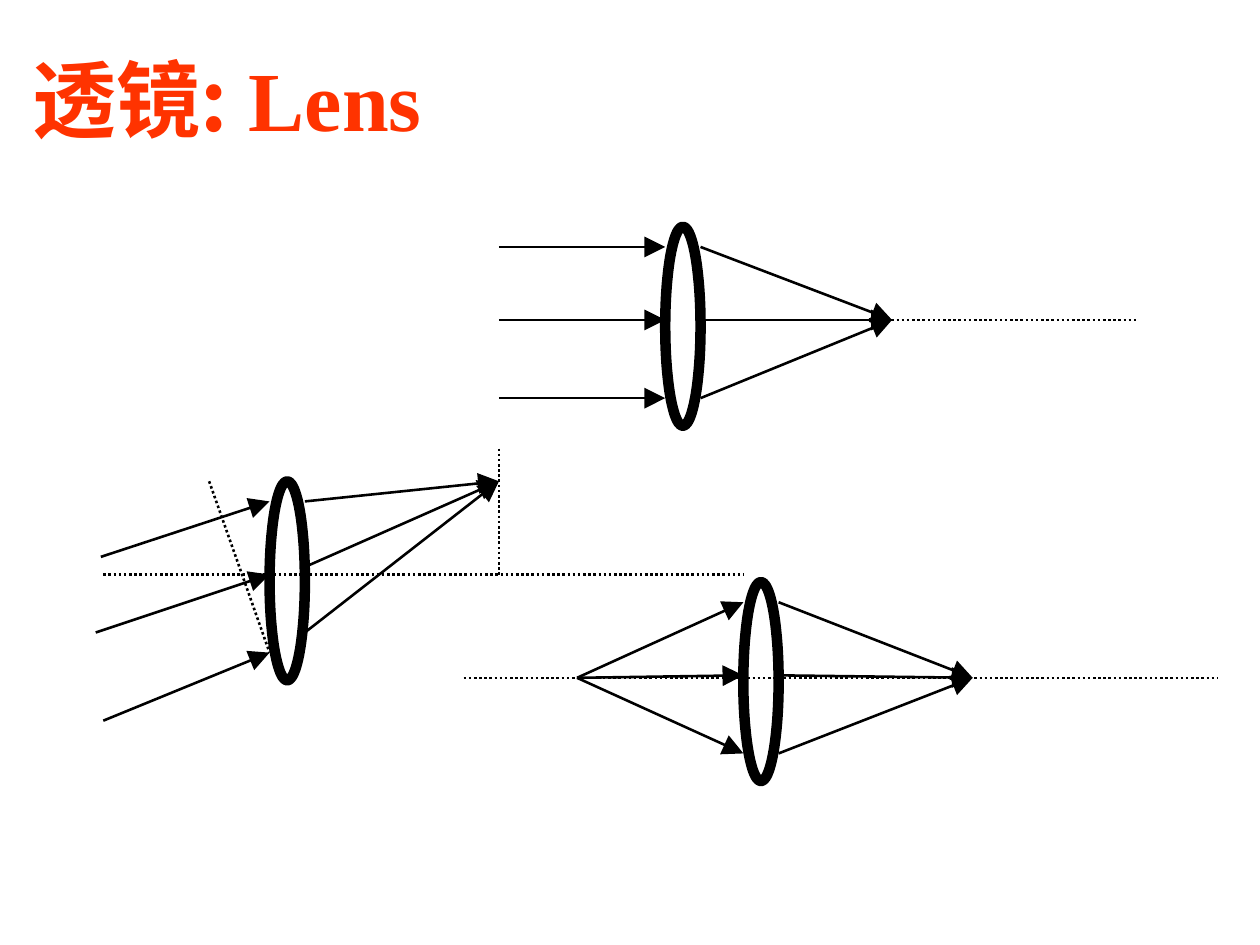
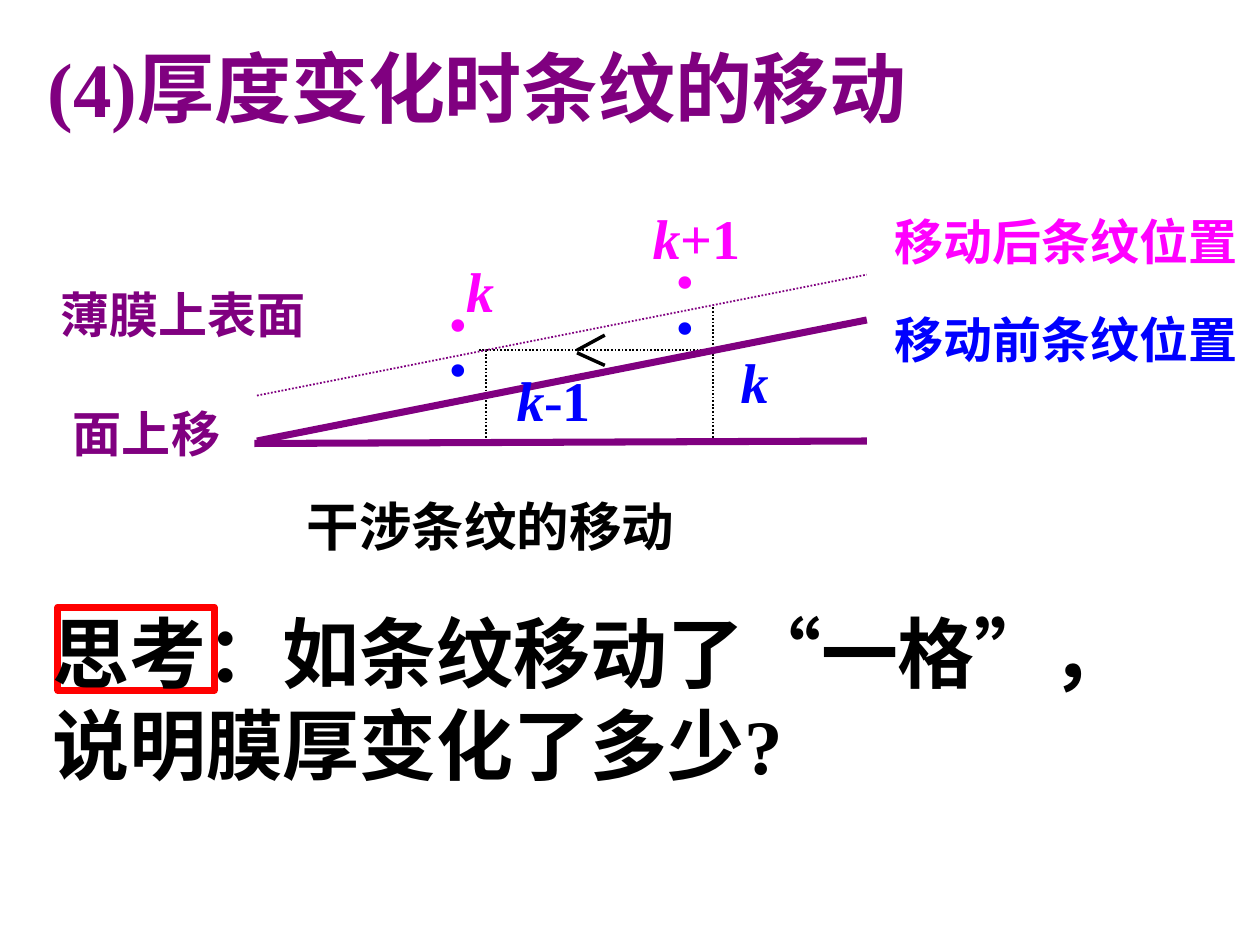
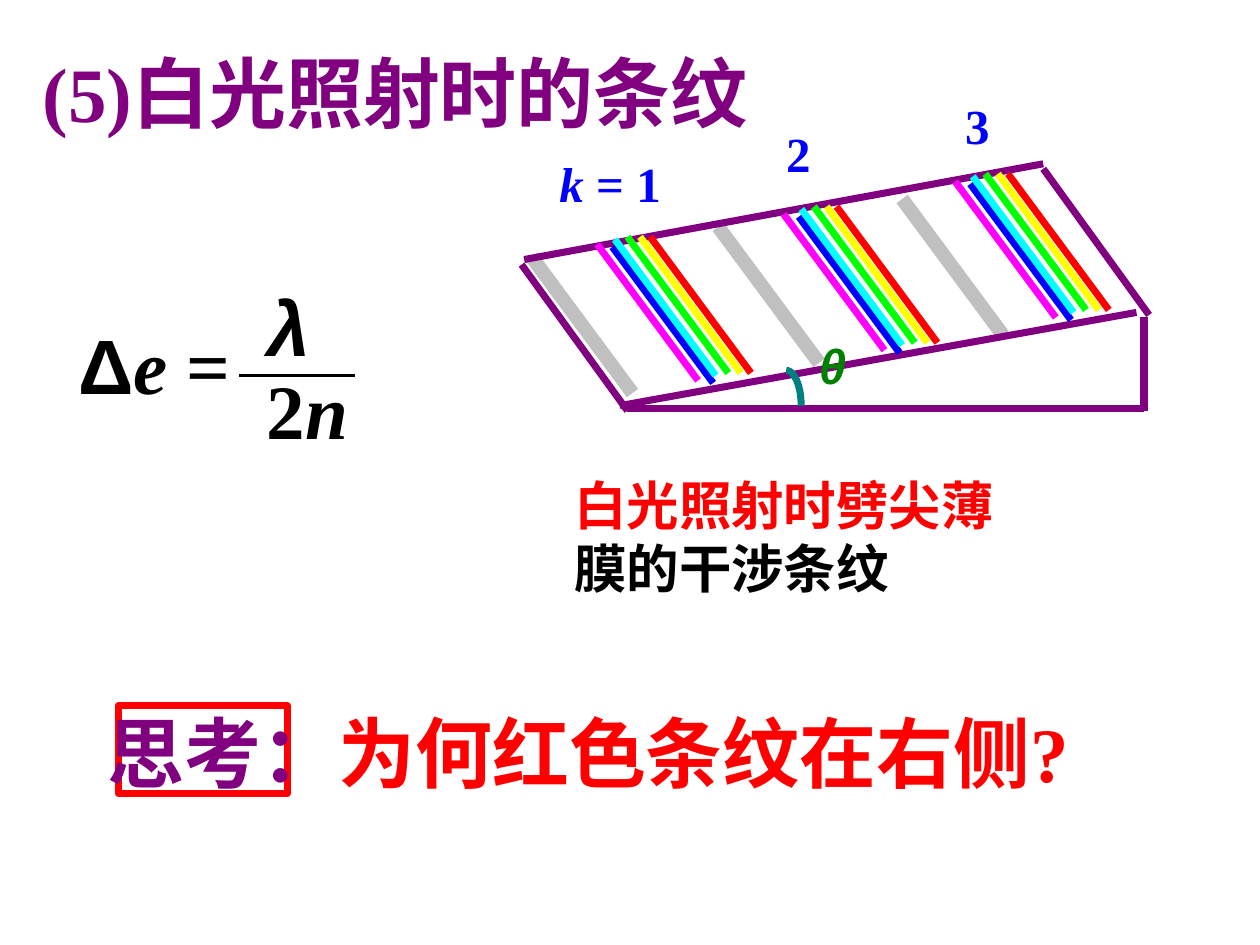
"""Builds three optics slides: lenses, moving fringes and white-light fringes."""
import math

from lxml import etree
from pptx import Presentation
from pptx import util as u
from pptx.dml import color as c
from pptx.enum import dml, shapes, text
from pptx.oxml import ns

COLORS = {
    "black": "000000", "orange": "FF3300", "purple": "800080", "red": "FF0000",
    "blue": "0000FF", "magenta": "FF00FF", "cyan": "00FFFF", "lime": "00FF00",
    "yellow": "FFFF00", "silver": "C0C0C0", "teal": "008080", "green": "008000",
}
SERIF, SANS, CJK = "Times New Roman", "Arial", "Noto Sans CJK SC"
ITALIC = {"italic": True}
TIGHT, ROOMY = (0.01, 0.01), (0.1, 0.05)


def rgb(name):
    """Return the named colour."""
    return c.RGBColor.from_string(COLORS[name])


class Deck:
    """Holds the presentation, its style and the current slide."""

    def __init__(self):
        """Start an empty 5 by 3.75 inch presentation."""
        self.prs = Presentation()
        self.prs.slide_width, self.prs.slide_height = u.Inches(5), u.Inches(3.75)
        self.slide = None

    def new_slide(self):
        """Add a slide that has only a title."""
        self.slide = self.prs.slides.add_slide(self.prs.slide_layouts[5])

    def fill_text(self, frame, paragraphs, size, color, insets, middle=False, wrap=True):
        """Fill a text frame with strings or lists of (text, overrides) runs."""
        frame.auto_size = text.MSO_AUTO_SIZE.NONE
        frame.word_wrap = wrap
        frame.vertical_anchor = text.MSO_ANCHOR.MIDDLE if middle else text.MSO_ANCHOR.TOP
        frame.margin_left = frame.margin_right = u.Inches(insets[0])
        frame.margin_top = frame.margin_bottom = u.Inches(insets[1])
        for index, parts in enumerate(paragraphs):
            paragraph = frame.add_paragraph() if index else frame.paragraphs[0]
            paragraph.alignment = text.PP_ALIGN.LEFT
            for words, override in [(parts, {})] if isinstance(parts, str) else parts:
                run = paragraph.add_run()
                run.text = words
                font = run.font
                font.name = override.get("font", SERIF)
                font.size, font.bold = u.Pt(size), True
                font.italic = override.get("italic", False)
                font.color.rgb = rgb(override.get("color", color))
                east_asian = etree.SubElement(run._r.rPr, ns.qn("a:ea"))
                east_asian.set("typeface", CJK)

    def title(self, at, parts, size=22, color="purple", insets=ROOMY, wrap=False):
        """Place and fill the title."""
        title = self.slide.shapes.title
        title.left, title.top, title.width, title.height = map(u.Inches, at)
        self.fill_text(title.text_frame, [parts], size, color, insets, True, wrap)

    def label(self, at, paragraphs, size, color, insets=TIGHT, **layout):
        """Add a text box."""
        box = self.slide.shapes.add_textbox(*map(u.Inches, at))
        self.fill_text(box.text_frame, paragraphs, size, color, insets, **layout)

    def line(self, start, end, color="black", width=0.75, arrow=False, dotted=False):
        """Add a straight line, dotted or with an arrowhead if asked."""
        line = self.slide.shapes.add_connector(
            shapes.MSO_CONNECTOR.STRAIGHT, *map(u.Inches, (*start, *end)))
        line.line.color.rgb, line.line.width = rgb(color), u.Pt(width)
        if dotted:
            line.line.dash_style = dml.MSO_LINE.ROUND_DOT
        if arrow:
            head = etree.SubElement(line.line._get_or_add_ln(), ns.qn("a:tailEnd"))
            head.set("type", "triangle")
        etree.SubElement(line._element.spPr, ns.qn("a:effectLst"))

    def outline(self, shape, color, width):
        """Leave a shape with its outline only."""
        shape.shadow.inherit = False
        shape.fill.background()
        shape.line.color.rgb, shape.line.width = rgb(color), u.Pt(width)

    def frame(self, kind, at, color, width):
        """Add an unfilled preset shape."""
        self.outline(self.slide.shapes.add_shape(kind, *map(u.Inches, at)), color, width)

    def arc(self, left, top, width, height, color, steps=12):
        """Add a quarter of an ellipse that falls to the right."""
        angles = [math.pi / 2 * step / steps for step in range(steps + 1)]
        points = [(u.Inches(left + width * math.sin(a)),
                   u.Inches(top + height * (1 - math.cos(a)))) for a in angles]
        curve = self.slide.shapes.build_freeform(*points[0])
        curve.add_line_segments(points[1:], close=False)
        self.outline(curve.convert_to_shape(), color, 2)

    def lens(self, left, top, sources, focus, exits=(0.08, 0.37, 0.68)):
        """Add a lens with three rays that enter it and meet at the focus."""
        self.frame(shapes.MSO_SHAPE.OVAL, (left, top, 0.14, 0.79), "black", 3)
        for source, entry, leave in zip(sources, (0.08, 0.37, 0.68), exits):
            self.line(source, (left, top + entry), arrow=True)
            self.line((left + 0.14, top + leave), focus, arrow=True)


def lens_slide(deck):
    """Build the slide on lenses."""
    deck.new_slide()
    deck.title((0.08, 0.08, 2.17, 0.62), [("透镜:", {"font": CJK}), (" Lens", {})],
               24, "orange", (0.05, 0.03), True)
    deck.lens(2.64, 0.9, [(1.98, y) for y in (0.98, 1.27, 1.58)], (3.54, 1.27))
    deck.lens(1.07, 1.91, [(0.4, 2.21), (0.38, 2.51), (0.41, 2.86)], (1.98, 1.91),
              (0.08, 0.34, 0.6))
    deck.lens(2.95, 2.31, [(2.29, 2.69)] * 3, (3.86, 2.69))
    for start, end in [((2.78, 1.27), (4.52, 1.27)), ((0.41, 2.28), (2.95, 2.28)),
                       ((0.83, 1.91), (1.07, 2.59)), ((1.98, 1.78), (1.98, 2.28)),
                       ((1.84, 2.69), (4.83, 2.69))]:
        deck.line(start, end, dotted=True)


def moving_fringes_slide(deck):
    """Build the slide on fringes that move with thickness."""
    deck.new_slide()
    deck.title((0.09, 0.11, 3.68, 0.47), "(4)厚度变化时条纹的移动")
    deck.frame(shapes.MSO_SHAPE.RECTANGLE, (0.23, 2.41, 0.62, 0.33), "red", 2)
    for start, end in [((1.9, 1.39), (2.83, 1.39)), ((1.93, 1.39), (1.93, 1.76)),
                       ((2.83, 1.22), (2.83, 1.75))]:
        deck.line(start, end, width=0.5, dotted=True)
    deck.line((1.01, 1.76), (3.44, 1.75), "purple", 2)
    deck.line((1.02, 1.75), (3.44, 1.27), "purple", 2)
    deck.line((1.02, 1.57), (3.44, 1.09), "purple", 0.5, dotted=True)
    deck.line((2.29, 1.39), (2.4, 1.33), width=1)
    deck.line((2.29, 1.4), (2.4, 1.45), width=1)
    for left, top, color in [(2.66, 1.09, "blue"), (1.76, 1.08, "magenta"),
                             (1.76, 1.26, "blue"), (2.66, 0.91, "magenta")]:
        deck.label((left, top, 0.35, 0.42), ["·"], 22, color)
    for left, top, width, words, color in [
            (0.23, 1.12, 1.29, "薄膜上表面", "purple"),
            (0.28, 1.59, 1.24, "面上移", "purple"),
            (3.54, 0.83, 1.54, "移动后条纹位置", "magenta"),
            (3.54, 1.22, 1.54, "移动前条纹位置", "blue")]:
        deck.label((left, top, width, 0.36), [words], 14, color)
    for left, top, shift, color in [(2.93, 1.37, "", "blue"), (2.04, 1.44, "-1", "blue"),
                                    (1.84, 1.01, "", "magenta"),
                                    (2.58, 0.8, "+1", "magenta")]:
        order = [("k", ITALIC)] + ([(shift, {})] if shift else [])
        deck.label((left, top, 0.57, 0.4), [order], 16, color)
    deck.label((1.12, 1.91, 2.63, 0.4), ["干涉条纹的移动"], 15, "black", ROOMY)
    deck.label((0.11, 2.35, 4.77, 0.84),
               ["思考：如条纹移动了“一格”，说明膜厚变化了多少?"],
               22, "black", ROOMY, middle=True)


def white_light_slide(deck):
    """Build the slide on fringes in white light."""
    deck.new_slide()
    deck.title((0.07, 0.13, 3.07, 0.47), "(5)白光照射时的条纹")
    deck.frame(shapes.MSO_SHAPE.RECTANGLE, (0.47, 2.8, 0.67, 0.35), "red", 2)
    run, drop = 0.4, 0.54
    for x, y in [(2.11, 1.02), (2.85, 0.9), (3.58, 0.79)]:
        deck.line((x, y), (x + run, y + drop), "silver", 4)
    for start, end in [((2.07, 1.05), (2.49, 1.63)), ((2.49, 1.62), (4.54, 1.62)),
                       ((4.14, 0.67), (4.56, 1.25)), ((2.46, 1.61), (4.51, 1.24)),
                       ((2.08, 1.03), (4.14, 0.65)), ((4.54, 1.26), (4.54, 1.63))]:
        deck.line(start, end, "purple", 2)
    deck.arc(3.12, 1.47, 0.06, 0.14, "teal")
    spectrum = [("blue", 0, 0), ("magenta", -0.06, -0.01), ("cyan", 0.01, -0.03),
                ("lime", 0.06, -0.04), ("yellow", 0.11, -0.04), ("red", 0.15, -0.04)]
    for left, top in [(2.43, 0.98), (3.17, 0.86), (3.85, 0.73)]:
        for color, dx, dy in spectrum:
            x, y = left + dx, top + dy
            deck.line((x, y), (x + run, y + drop), color, 2)
    deck.label((3.24, 1.32, 0.37, 0.4), [[("θ", {"font": SANS, **ITALIC})]], 14, "green")
    for left, top, order in [(2.21, 0.6, [("k", ITALIC), (" = 1", {})]),
                             (3.11, 0.48, "2"), (3.82, 0.37, "3")]:
        deck.label((left, top, 0.56, 0.39), [order], 14, "blue")
    deck.label((2.18, 1.83, 2.9, 0.9),
               ["白光照射时劈尖薄", [("膜的干涉条纹", {"color": "black"})]],
               15, "red", ROOMY)
    deck.label((0.33, 2.75, 4.08, 0.47),
               [[("思考：", {"color": "purple"}), ("为何红色条纹在右侧?", {})]],
               22, "red", ROOMY, middle=True, wrap=False)
    for at, term in [
            ((0.3, 1.25, 0.71, 0.42), [("Δ", {"font": SANS}), ("e", ITALIC), (" =", {})]),
            ((1.05, 1.1, 0.49, 0.48), [("λ", {"font": SANS, **ITALIC})]),
            ((1.05, 1.43, 0.53, 0.52), [("2", {}), ("n", ITALIC)])]:
        deck.label(at, [term], 22, "black")
    deck.line((0.95, 1.49), (1.41, 1.49))


def main():
    """Build and save the slides."""
    deck = Deck()
    lens_slide(deck)
    moving_fringes_slide(deck)
    white_light_slide(deck)
    deck.prs.save("out.pptx")


if __name__ == "__main__":
    main()
